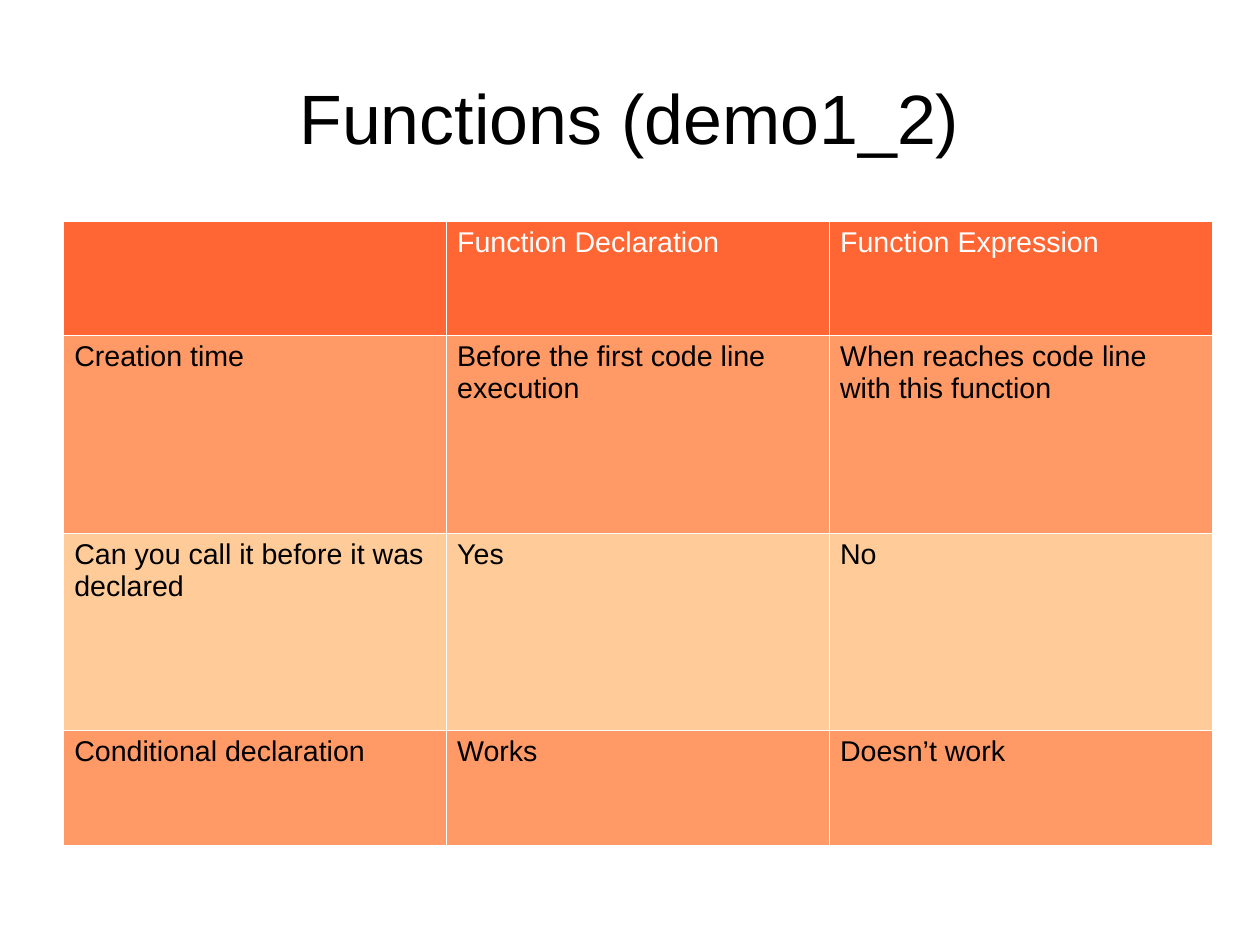
from dataclasses import dataclass

from lxml.etree import SubElement
from pptx import Presentation
from pptx.dml.color import RGBColor
from pptx.enum.text import MSO_ANCHOR, PP_ALIGN
from pptx.oxml.ns import qn
from pptx.util import Inches, Pt


@dataclass(frozen=True)
class Theme:
    font: str = "Arial"
    title_size: float = 44
    table_size: float = 18
    border_width: float = 0.06
    ink: str = "000000"
    paper: str = "FFFFFF"
    header: str = "FF6633"
    bands: tuple = ("FF9966", "FFCC99")


CM_PER_INCH = 2.54
PAGE_CM = (28, 21)
COMPARISON = [
    ("", "Function Declaration", "Function Expression"),
    ("Creation time", "Before the first code line execution",
     "When reaches code line with this function"),
    ("Can you call it before it was declared", "Yes", "No"),
    ("Conditional declaration", "Works", "Doesn’t work"),
]
ROW_HEIGHTS = (1, 1.73, 1.73, 1)


class SlideBuilder:
    def __init__(self, slide, theme):
        self.slide = slide
        self.theme = theme
        background = slide.background.fill
        background.solid()
        background.fore_color.rgb = RGBColor.from_string(theme.paper)

    def add_run(self, paragraph, text, size, color):
        run = paragraph.add_run()
        run.text = text
        run.font.name = self.theme.font
        run.font.size = Pt(size)
        run.font.bold = False
        run.font.color.rgb = RGBColor.from_string(color)

    def title(self, text, left, top, width, height):
        heading = self.slide.shapes.title
        heading.left, heading.top = Inches(left), Inches(top)
        heading.width, heading.height = Inches(width), Inches(height)
        frame = heading.text_frame
        frame.margin_left = frame.margin_right = 0
        frame.margin_top = frame.margin_bottom = 0
        frame.vertical_anchor = MSO_ANCHOR.MIDDLE
        frame.word_wrap = True
        paragraph = frame.paragraphs[0]
        paragraph.alignment = PP_ALIGN.CENTER
        self.add_run(paragraph, text, self.theme.title_size, self.theme.ink)

    def border(self, cell):
        properties = cell._tc.get_or_add_tcPr()
        for side in ("a:lnL", "a:lnR", "a:lnT", "a:lnB"):
            line = SubElement(properties, qn(side), w=str(Pt(self.theme.border_width)))
            fill = SubElement(line, qn("a:solidFill"))
            SubElement(fill, qn("a:srgbClr"), val=self.theme.paper)

    def cell(self, cell, text, fill, color):
        self.border(cell)
        cell.fill.solid()
        cell.fill.fore_color.rgb = RGBColor.from_string(fill)
        cell.margin_left = cell.margin_right = Inches(0.1)
        cell.margin_top = cell.margin_bottom = Inches(0.05)
        if text:
            self.add_run(cell.text_frame.paragraphs[0], text,
                         self.theme.table_size, color)

    def table(self, rows, row_heights, left, top, width):
        theme = self.theme
        table = self.slide.shapes.add_table(
            len(rows), len(rows[0]), Inches(left), Inches(top),
            Inches(width), Inches(sum(row_heights))).table
        for row_index, (texts, height) in enumerate(zip(rows, row_heights)):
            table.rows[row_index].height = Inches(height)
            if row_index == 0:
                fill, color = theme.header, theme.paper
            else:
                fill, color = theme.bands[(row_index - 1) % 2], theme.ink
            for column_index, text in enumerate(texts):
                self.cell(table.cell(row_index, column_index), text, fill, color)


def main():
    deck = Presentation()
    deck.slide_width, deck.slide_height = (
        Inches(side / CM_PER_INCH) for side in PAGE_CM)
    title_only = deck.slide_layouts[5]
    builder = SlideBuilder(deck.slides.add_slide(title_only), Theme())
    builder.title("Functions (demo1_2)", 0.55, 0.33, 9.92, 1.38)
    builder.table(COMPARISON, ROW_HEIGHTS, 0.55, 1.93, 10.05)
    deck.save("out.pptx")


if __name__ == "__main__":
    main()
